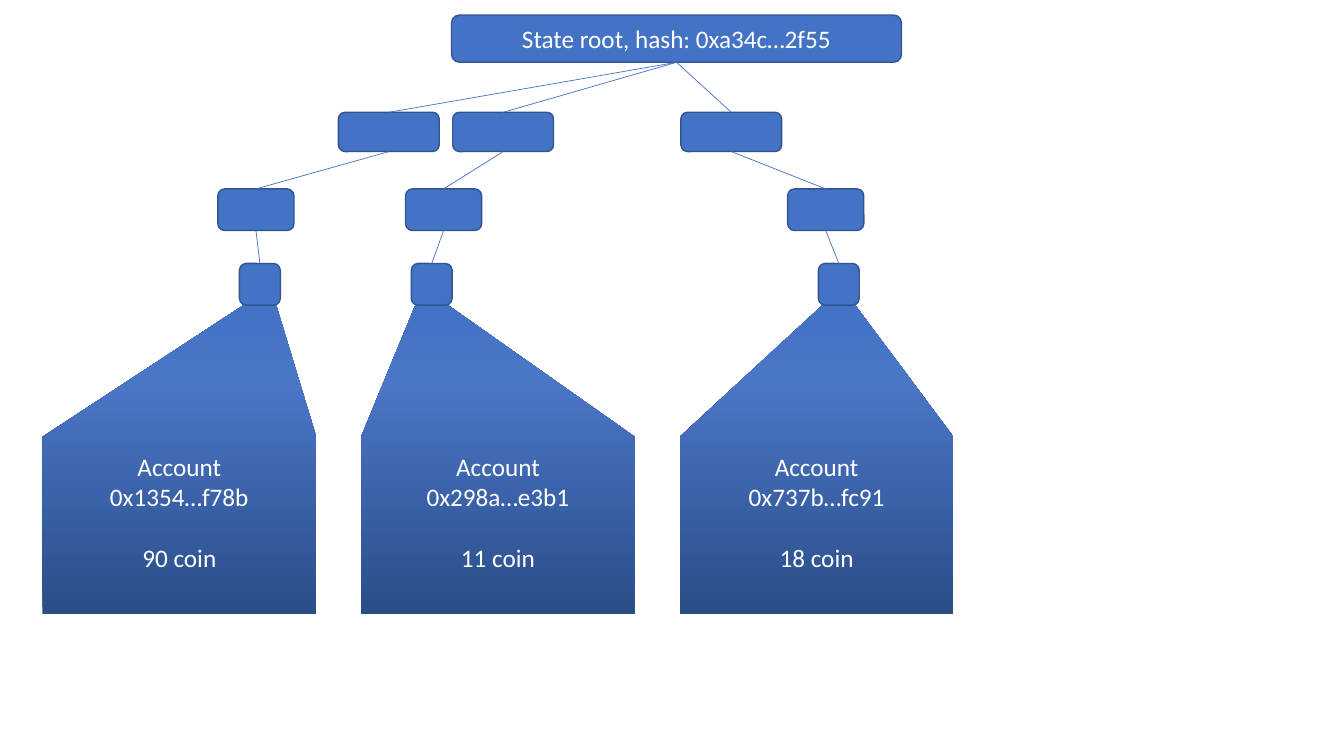
from copy import deepcopy

from lxml import etree
from pptx import Presentation
from pptx.dml.color import RGBColor
from pptx.enum.shapes import MSO_CONNECTOR, MSO_SHAPE
from pptx.enum.text import MSO_ANCHOR, PP_ALIGN
from pptx.oxml.ns import qn
from pptx.util import Cm, Pt

ROUNDED = MSO_SHAPE.ROUNDED_RECTANGLE
STRAIGHT = MSO_CONNECTOR.STRAIGHT
CENTER = PP_ALIGN.CENTER
MIDDLE = MSO_ANCHOR.MIDDLE
TOP_SITE, BOTTOM_SITE = 0, 2

BLUE, EDGE, WHITE = "4472C4", "325491", "FFFFFF"
HOUSE_STOPS = [(0, "2B4E89"), (0.75, "4A76C6"), (0.98, BLUE)]
NODE_LEVELS = [(0, 2.54, 0.99), (1.93, 1.92, 1.05), (3.81, 1.03, 1.05)]
ROOF_HALF = 0.41
EAVES = 8.18
LABEL_TOP, LABEL_HEIGHT = 8.41, 3.33

ACCOUNTS = [
    ("0x1354…f78b", "90 coin", (8.73, 5.38, 5.48)),
    ("0x298a…e3b1", "11 coin", (3.58, 2.08, 1.78)),
    ("0x737b…fc91", "18 coin", (1.30, 3.68, 4.01)),
]


def rgb(value):
    """Return the colour for a hex string."""
    return RGBColor.from_string(value)


def write(tf, lines):
    """Fill a text frame with centred white lines."""
    tf.word_wrap = True
    tf.text = "\n".join(lines)
    for p in tf.paragraphs:
        p.alignment = CENTER
        for r in p.runs:
            r.font.name = "Calibri"
            r.font.size = Pt(18)
            r.font.color.rgb = rgb(WHITE)


def add_node(s, left, top, width, height):
    """Add one rounded tree node."""
    sp = s.shapes.add_shape(ROUNDED, Cm(left), Cm(top), Cm(width), Cm(height))
    sp.shadow.inherit = False
    sp.fill.solid()
    sp.fill.fore_color.rgb = rgb(BLUE)
    sp.line.color.rgb = rgb(EDGE)
    sp.line.width = Pt(1)
    return sp


def add_link(s, child, parent):
    """Join the top of a child node to the bottom of its parent."""
    line = s.shapes.add_connector(STRAIGHT, 0, 0, 0, 0)
    line.begin_connect(child, TOP_SITE)
    line.end_connect(parent, BOTTOM_SITE)
    line.line.color.rgb = rgb(BLUE)
    line.line.width = Pt(0.5)
    etree.SubElement(line._element.spPr, qn("a:effectLst"))


def add_house(s, left, top, width, height, peak, roof_top):
    """Add the gradient outline of an account with its roof under a leaf."""
    right, bottom, eaves = left + width, top + height, top + EAVES
    points = [
        (peak - ROOF_HALF, roof_top), (peak + ROOF_HALF, roof_top),
        (right, eaves), (right, bottom), (left, bottom), (left, eaves),
    ]
    corners = [(Cm(x), Cm(y)) for x, y in points]
    builder = s.shapes.build_freeform(*corners[0])
    builder.add_line_segments(corners[1:], close=True)
    sp = builder.convert_to_shape()
    sp.shadow.inherit = False
    sp.line.fill.background()
    sp.fill.gradient()
    sp.fill.gradient_angle = 90
    stops = sp._element.spPr.find(".//" + qn("a:gsLst"))
    stops.append(deepcopy(stops[0]))
    for stop, (position, color) in zip(sp.fill.gradient_stops, HOUSE_STOPS):
        stop.position = position
        stop.color.rgb = rgb(color)


def add_root(s, left, top, width, height):
    """Add the labelled state root."""
    sp = add_node(s, left, top, width, height)
    sp.text_frame.vertical_anchor = MIDDLE
    write(sp.text_frame, ["State root, hash: 0xa34c…2f55"])
    return sp


def add_branch(s, root, left, top, width, height, account):
    """Add one account with the chain of nodes leading to the root."""
    address, balance, centers = account
    _, leaf_width, leaf_height = NODE_LEVELS[-1]
    roof_top = top + NODE_LEVELS[-1][0] + leaf_height
    add_house(s, left, top, width, height, left + centers[-1], roof_top)

    parent = root
    for center, (y, w, h) in zip(centers, NODE_LEVELS):
        node = add_node(s, left + center - w / 2, top + y, w, h)
        add_link(s, node, parent)
        parent = node

    label = s.shapes.add_textbox(
        Cm(left), Cm(top + LABEL_TOP), Cm(width), Cm(LABEL_HEIGHT))
    write(label.text_frame, ["Account", address, balance])
    label.text_frame.paragraphs[-1].space_before = Pt(22)


def add_state_tree(s, left, top):
    """Place the root and its three evenly spaced account branches."""
    root = add_root(s, left + 10.31, top, 11.34, 1.19)
    for i, account in enumerate(ACCOUNTS):
        add_branch(s, root, left + i * 8.03, top + 2.45, 6.9, 12.65, account)


prs = Presentation()
prs.slide_width, prs.slide_height = Cm(33.87), Cm(19.05)
slide = prs.slides.add_slide(prs.slide_layouts[6])
add_state_tree(slide, 1.07, 0.38)
prs.save("out.pptx")
